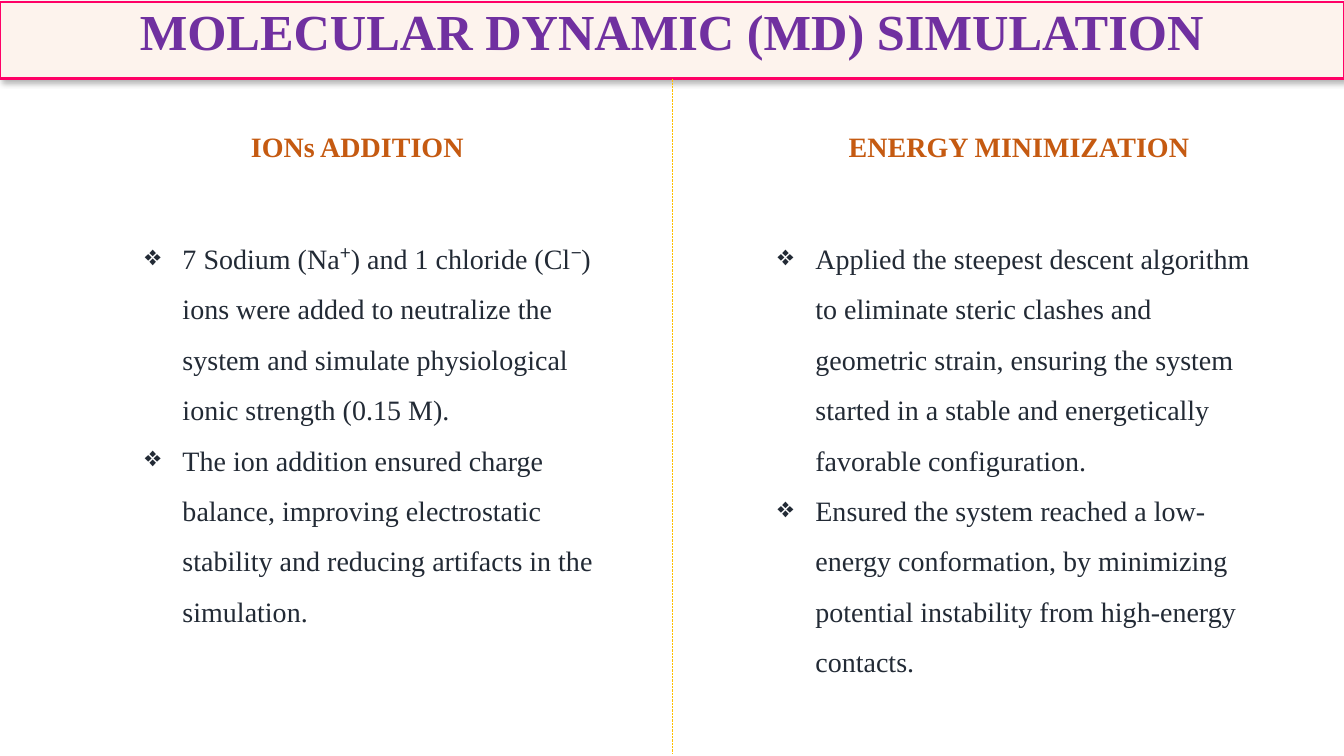
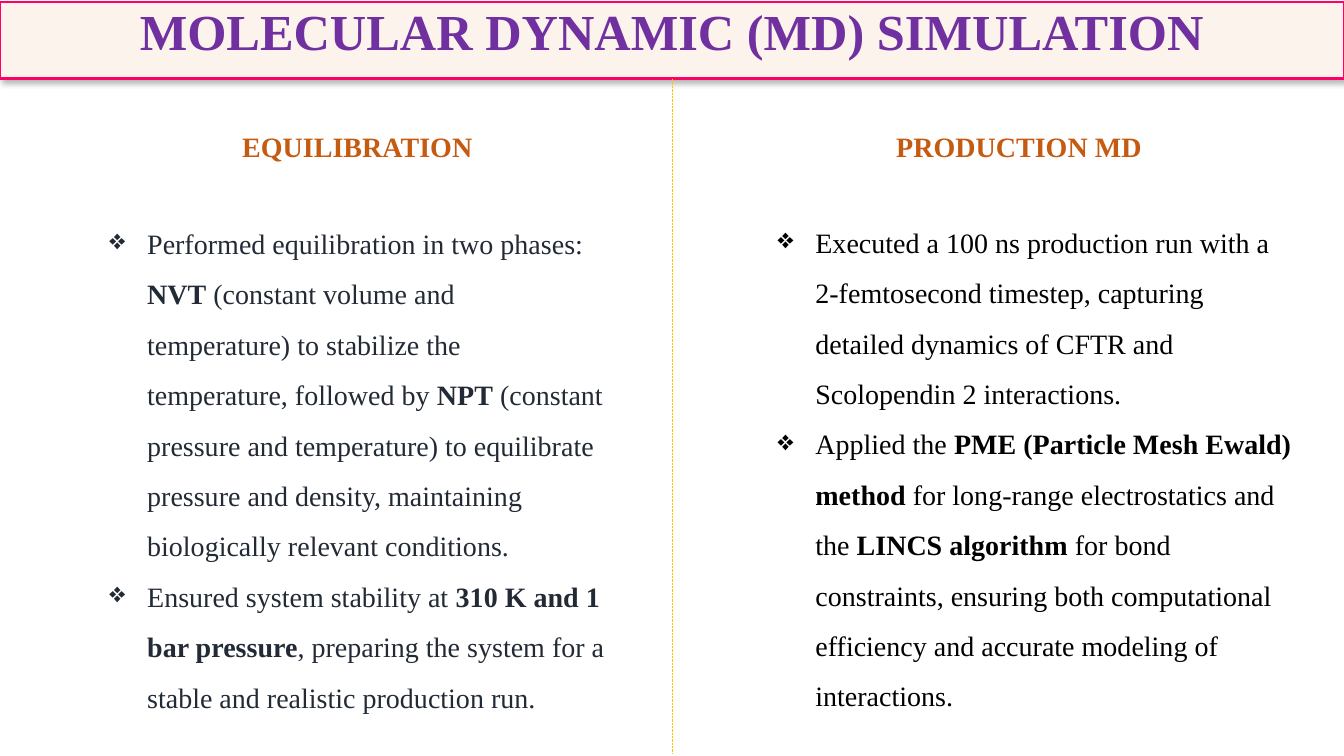
from lxml import etree
from pptx import Presentation, util as u
from pptx.dml.color import RGBColor
from pptx.enum import dml, shapes, text
from pptx.oxml.ns import qn

TITLE = "MOLECULAR DYNAMIC (MD) SIMULATION"
FONT = "Times New Roman"
CREAM, PINK, PURPLE, GOLD = "FDF3ED", "FF0066", "7030A0", "FFC000"
ORANGE, NAVY, BLACK = "C55A11", "222A35", "000000"
WIDTH, HEIGHT = 33.87, 19.05
HEADING_SPANS = [(4.47, 9.07), (20.88, 9.6)]
HEADING_TOP, HEADING_HEIGHT = 3.15, 1.12
BULLET_INDENT = 0.95
TITLE_STYLE = {"size": u.Pt(36), "bold": True, "name": FONT}
HEADING_STYLE = {"size": u.Pt(20), "bold": True, "name": FONT}
BODY_STYLE = {"size": u.Pt(20), "name": FONT}

SLIDES = [
    [
        {"heading": "IONs ADDITION", "box": (3.4, 5.54, 12.42, 10.36), "color": NAVY, "points": [
            "7 Sodium (Na⁺) and 1 chloride (Cl⁻) ions were added to neutralize the system and "
            "simulate physiological ionic strength (0.15 M).",
            "The ion addition ensured charge balance, improving electrostatic stability and "
            "reducing artifacts in the simulation."]},
        {"heading": "ENERGY MINIMIZATION", "box": (19.35, 5.54, 12.6, 11.66), "color": NAVY, "points": [
            "Applied the steepest descent algorithm to eliminate steric clashes and geometric "
            "strain, ensuring the system started in a stable and energetically favorable configuration.",
            "Ensured the system reached a low-energy conformation, by minimizing potential "
            "instability from high-energy contacts."]},
    ],
    [
        {"heading": "EQUILIBRATION", "box": (2.51, 5.16, 12.98, 13.84), "color": NAVY, "points": [
            "Performed equilibration in two phases: **NVT** (constant volume and temperature) to "
            "stabilize the temperature, followed by **NPT** (constant pressure and temperature) to "
            "equilibrate pressure and density, maintaining biologically relevant conditions.",
            "Ensured system stability at **310 K and 1 bar pressure**, preparing the system for a "
            "stable and realistic production run."]},
        {"heading": "PRODUCTION MD", "box": (19.35, 5.13, 13.46, 12.93), "color": BLACK, "points": [
            "Executed a 100 ns production run with a 2-femtosecond timestep, capturing detailed "
            "dynamics of CFTR and Scolopendin 2 interactions.",
            "Applied the **PME (Particle Mesh Ewald) method** for long-range electrostatics and the "
            "**LINCS algorithm **for bond constraints, ensuring both computational efficiency and "
            "accurate modeling of interactions."]},
    ],
]


def rgb(value):
    return RGBColor.from_string(value)


def write(paragraph, content, style, color):
    for i, part in enumerate(content.split("**")):
        if not part:
            continue
        run = paragraph.add_run()
        run.text = part
        for key, value in style.items():
            setattr(run.font, key, value)
        if i % 2:
            run.font.bold = True
        run.font.color.rgb = rgb(color)


def add_title(slide):
    band = slide.shapes.add_shape(shapes.MSO_SHAPE.RECTANGLE, u.Cm(0), u.Cm(0.05), u.Cm(WIDTH), u.Cm(1.93))
    band.fill.solid()
    band.fill.fore_color.rgb = rgb(CREAM)
    band.line.color.rgb = rgb(PINK)
    band.line.width = u.Pt(1.5)
    band.shadow.inherit = False
    effects = band._element.spPr.find(qn("a:effectLst"))
    shadow = etree.SubElement(effects, qn("a:outerShdw"), blurRad=str(u.Pt(4.5)), dist=str(u.Pt(2.6)),
                              dir=str(53 * 60000), algn="ctr", rotWithShape="0")
    tint = etree.SubElement(shadow, qn("a:srgbClr"), val=BLACK)
    etree.SubElement(tint, qn("a:alpha"), val="30000")
    band.text_frame.word_wrap = True
    band.text_frame.vertical_anchor = text.MSO_ANCHOR.TOP
    line = band.text_frame.paragraphs[0]
    line.alignment = text.PP_ALIGN.CENTER
    line.line_spacing = 0.9
    write(line, TITLE, TITLE_STYLE, PURPLE)
    return band


def add_divider(slide, band):
    middle = u.Cm(WIDTH / 2)
    divider = slide.shapes.add_connector(shapes.MSO_CONNECTOR.STRAIGHT, middle, u.Cm(1.98), middle, u.Cm(19))
    divider.begin_connect(band, 2)
    divider.line.color.rgb = rgb(GOLD)
    divider.line.width = u.Pt(0.5)
    divider.line.dash_style = dml.MSO_LINE.ROUND_DOT
    etree.SubElement(divider._element.spPr, qn("a:effectLst"))


def add_frame(slide, box):
    frame = slide.shapes.add_textbox(*map(u.Cm, box)).text_frame
    frame.word_wrap = True
    frame.auto_size = text.MSO_AUTO_SIZE.SHAPE_TO_FIT_TEXT
    return frame


def add_column(slide, topic, span):
    left, width = span
    heading = add_frame(slide, (left, HEADING_TOP, width, HEADING_HEIGHT)).paragraphs[0]
    heading.alignment = text.PP_ALIGN.CENTER
    write(heading, topic["heading"], HEADING_STYLE, ORANGE)

    body = add_frame(slide, topic["box"])
    for i, point in enumerate(topic["points"]):
        paragraph = body.add_paragraph() if i else body.paragraphs[0]
        paragraph.line_spacing = 1.5
        props = paragraph._p.get_or_add_pPr()
        props.set("marL", str(u.Cm(BULLET_INDENT)))
        props.set("indent", str(-u.Cm(BULLET_INDENT)))
        etree.SubElement(props, qn("a:buChar"), char="❖")
        write(paragraph, point, BODY_STYLE, topic["color"])


def main():
    deck = Presentation()
    deck.slide_width, deck.slide_height = u.Cm(WIDTH), u.Cm(HEIGHT)
    for topics in SLIDES:
        slide = deck.slides.add_slide(deck.slide_layouts[6])
        add_divider(slide, add_title(slide))
        for topic, span in zip(topics, HEADING_SPANS):
            add_column(slide, topic, span)
    deck.save("out.pptx")


if __name__ == "__main__":
    main()
